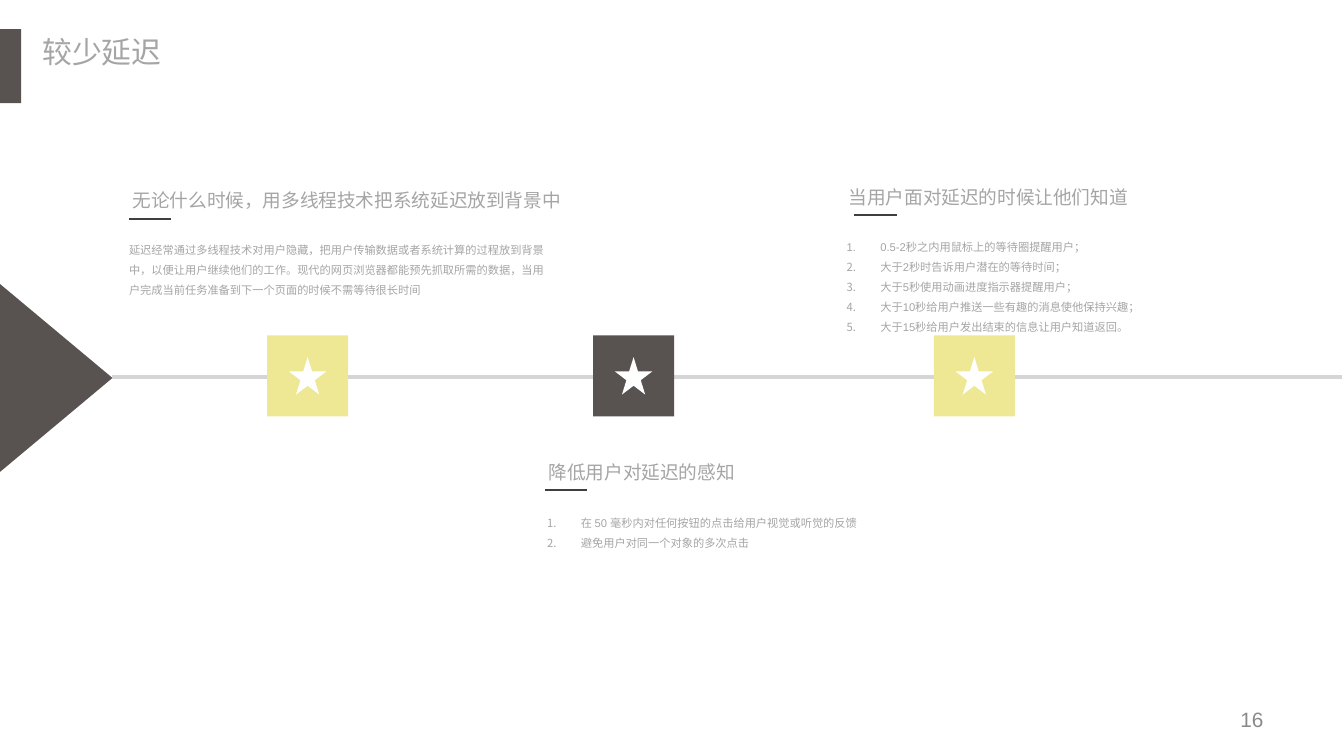
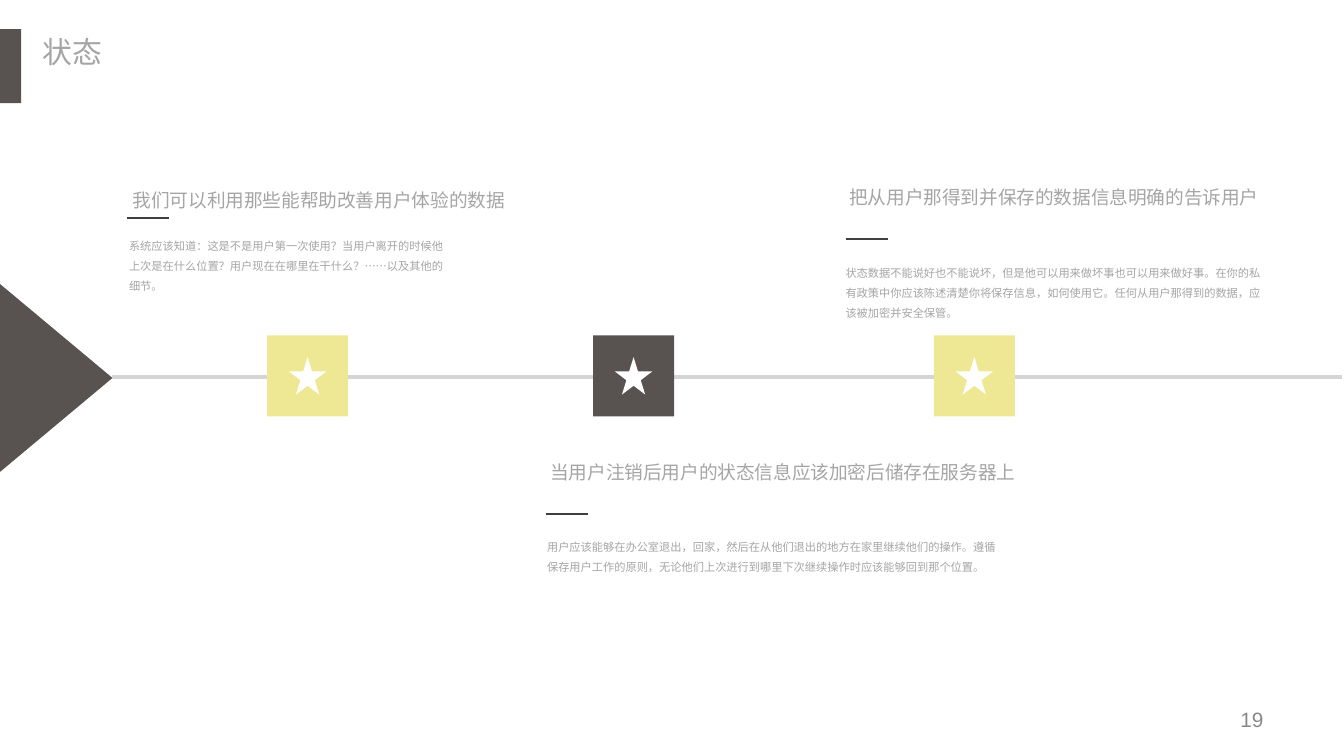
from collections import namedtuple

from lxml.etree import SubElement
from pptx import Presentation
from pptx.dml.color import RGBColor
from pptx.enum.shapes import MSO_CONNECTOR, MSO_SHAPE as SHAPE
from pptx.enum.text import MSO_ANCHOR, MSO_AUTO_SIZE as FIT, PP_ALIGN
from pptx.oxml.ns import qn
from pptx.util import Cm, Pt

COLORS = {
    "dark": "585251",
    "yellow": "EEE895",
    "axis": "D5D5D5",
    "rule": "3F3F3F",
    "text": "A5A5A5",
    "number": "898989",
    "white": "FFFFFF",
}
CJK = "Noto Sans CJK SC"
MARKERS = [(5.05, "yellow"), (11.21, "dark"), (17.65, "yellow")]
MARKER_TOP, MARKER_SIZE = 6.34, 1.53
STAR_SIZE = 0.71
RULE_WIDTH = 0.8

Block = namedtuple("Block", "heading heading_at rule_at body body_box numbered")

SLIDES = [
    ("较少延迟", "16", [
        Block("无论什么时候，用多线程技术把系统延迟放到背景中",
              (2.26, 3.44), (2.44, 4.14),
              ["延迟经常通过多线程技术对用户隐藏，把用户传输数据或者系统计算的过程放到背景中，"
               "以便让用户继续他们的工作。现代的网页浏览器都能预先抓取所需的数据，"
               "当用户完成当前任务准备到下一个页面的时候不需等待很长时间"],
              (2.19, 4.34, 8.51, 1.4), False),
        Block("降低用户对延迟的感知",
              (10.12, 8.59), (10.3, 9.27),
              ["在 50 毫秒内对任何按钮的点击给用户视觉或听觉的反馈",
               "避免用户对同一个对象的多次点击"],
              (10.09, 9.5, 6.45, 1.02), True),
        Block("当用户面对延迟的时候让他们知道",
              (15.79, 3.38), (16.15, 4.06),
              ["0.5-2秒之内用鼠标上的等待圈提醒用户；",
               "大于2秒时告诉用户潜在的等待时间；",
               "大于5秒使用动画进度指示器提醒用户；",
               "大于10秒给用户推送一些有趣的消息使他保持兴趣；",
               "大于15秒给用户发出结束的信息让用户知道返回。"],
              (15.75, 4.28, 6.45, 2.54), True),
    ]),
    ("状态", "19", [
        Block("我们可以利用那些能帮助改善用户体验的数据",
              (2.26, 3.44), (2.4, 4.12),
              ["系统应该知道：这是不是用户第一次使用？当用户离开的时候他上次是在什么位置？"
               "用户现在在哪里在干什么？……以及其他的细节。"],
              (2.19, 4.26, 6.45, 1.4), False),
        Block("当用户注销后用户的状态信息应该加密后储存在服务器上",
              (10.15, 8.59), (10.31, 9.72),
              ["用户应该能够在办公室退出，回家，然后在从他们退出的地方在家里继续他们的操作。"
               "遵循保存用户工作的原则，无论他们上次进行到哪里下次继续操作时应该能够回到那个位置。"],
              (10.09, 9.96, 9.12, 1.02), False),
        Block("把从用户那得到并保存的数据信息明确的告诉用户",
              (15.8, 3.38), (15.98, 4.52),
              ["状态数据不能说好也不能说坏，但是他可以用来做坏事也可以用来做好事。"
               "在你的私有政策中你应该陈述清楚你将保存信息，如何使用它。"
               "任何从用户那得到的数据，应该被加密并安全保管。"],
              (15.73, 4.77, 8.36, 1.4), False),
    ]),
]


def rgb(name):
    return RGBColor.from_string(COLORS[name])


def add_solid(shapes, kind, box, color):
    sp = shapes.add_shape(kind, *map(Cm, box))
    sp.shadow.inherit = False
    sp.fill.solid()
    sp.fill.fore_color.rgb = rgb(color)
    sp.line.fill.background()
    return sp


def add_line(shapes, x, y, width, color, weight):
    line = shapes.add_connector(MSO_CONNECTOR.STRAIGHT, Cm(x), Cm(y), Cm(x + width), Cm(y))
    line.line.color.rgb = rgb(color)
    line.line.width = Pt(weight)
    SubElement(line._element.spPr, qn("a:effectLst"))


def add_text(shapes, box, lines, size, font, color="text", wrap=True,
             fit=FIT.SHAPE_TO_FIT_TEXT, insets=(0.25, 0.13), spacing=None):
    tf = shapes.add_textbox(*map(Cm, box)).text_frame
    tf.margin_left = tf.margin_right = Cm(insets[0])
    tf.margin_top = tf.margin_bottom = Cm(insets[1])
    tf.word_wrap = wrap
    tf.auto_size = fit
    tf.text = "\n".join(lines)
    for p in tf.paragraphs:
        if spacing:
            p.line_spacing = spacing
        for r in p.runs:
            r.font.size = Pt(size)
            r.font.name = font
            r.font.color.rgb = rgb(color)
            SubElement(r.font._element, qn("a:ea"), typeface=CJK)
    return tf


def add_single_line(shapes, at, height, text, size, font, insets=(0.25, 0.13)):
    slack = 0.08
    width = len(text) * Pt(size).cm + 2 * insets[0] + slack
    add_text(shapes, (*at, width, height), [text], size, font, wrap=False, insets=insets)


def number_paragraphs(tf):
    indent = Cm(0.64)
    for p in tf.paragraphs:
        pPr = p._p.get_or_add_pPr()
        pPr.set("marL", str(indent))
        pPr.set("indent", str(-indent))
        buClr = SubElement(pPr, qn("a:buClr"))
        SubElement(buClr, qn("a:srgbClr"), val=COLORS["text"])
        SubElement(pPr, qn("a:buAutoNum"), type="arabicPeriod")


def add_frame(s, title, number):
    tf = add_text(s.shapes, (18.21, 13.25, 5.92, 0.76), [number], 11.1, "Arial",
                  "number", fit=FIT.NONE, spacing=0.9)
    tf.vertical_anchor = MSO_ANCHOR.MIDDLE
    tf.paragraphs[0].alignment = PP_ALIGN.RIGHT
    add_solid(s.shapes, SHAPE.RECTANGLE, (0, 0.55, 0.4, 1.4), "dark")
    add_single_line(s.shapes, (0.6, 0.54), 0.86, title, 16, CJK, insets=(0.2, 0.1))


def add_marker(s, left, color):
    shapes = s.shapes.add_group_shape().shapes
    add_solid(shapes, SHAPE.RECTANGLE, (left, MARKER_TOP, MARKER_SIZE, MARKER_SIZE), color)
    inset = (MARKER_SIZE - STAR_SIZE) / 2
    add_solid(shapes, SHAPE.STAR_5_POINT,
              (left + inset, MARKER_TOP + inset, STAR_SIZE, STAR_SIZE), "white")


def add_timeline(s):
    arrow = add_solid(s.shapes, SHAPE.ISOSCELES_TRIANGLE, (-0.72, 6.08, 3.56, 2.13), "dark")
    arrow.rotation = 90
    add_line(s.shapes, 2.11, 7.13, 23.26, "axis", 2)
    for left, color in MARKERS:
        add_marker(s, left, color)


def add_block(s, block):
    shapes = s.shapes.add_group_shape().shapes
    tf = add_text(shapes, block.body_box, block.body, 6, "Arial", spacing=1.5)
    if block.numbered:
        number_paragraphs(tf)
    add_line(shapes, *block.rule_at, RULE_WIDTH, "rule", 1)
    add_single_line(shapes, block.heading_at, 0.69, block.heading, 10, "Calibri")


def main():
    prs = Presentation()
    prs.slide_width, prs.slide_height = Cm(25.4), Cm(14.29)
    for title, number, blocks in SLIDES:
        s = prs.slides.add_slide(prs.slide_layouts[6])
        add_frame(s, title, number)
        add_timeline(s)
        for block in blocks:
            add_block(s, block)
    prs.save("out.pptx")


if __name__ == "__main__":
    main()
